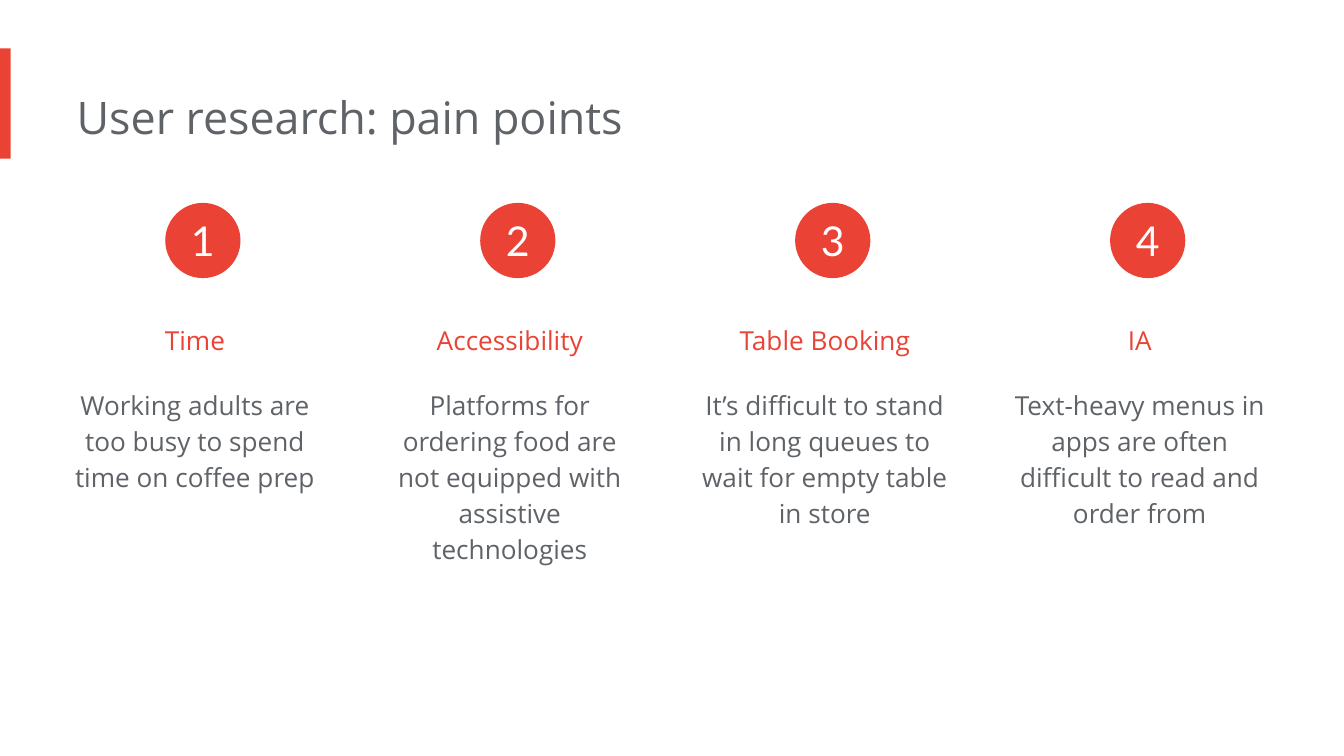
import pptx
import pptx.dml.color
import pptx.enum.shapes
import pptx.enum.text
import pptx.util

Inches = pptx.util.Inches
RGBColor = pptx.dml.color.RGBColor
SHAPE = pptx.enum.shapes.MSO_SHAPE
ALIGN = pptx.enum.text.PP_ALIGN
ANCHOR = pptx.enum.text.MSO_ANCHOR
FIT = pptx.enum.text.MSO_AUTO_SIZE

RED = RGBColor(0xEA, 0x43, 0x35)
GREY = RGBColor(0x5F, 0x63, 0x68)
WHITE = RGBColor(0xFF, 0xFF, 0xFF)

POINTS = [
    ("Time", "Working adults are too busy to spend time on coffee prep", 0.98),
    ("Accessibility", "Platforms for ordering food are not equipped with assistive technologies", 1.52),
    ("Table Booking", "It’s difficult to stand in long queues to wait for empty table in store", 1.25),
    ("IA", "Text-heavy menus in apps are often difficult to read and order from", 1.25),
]
FIRST_LEFT, LAST_LEFT, COL_W = 0.48, 7.51, 2.04
PITCH = (LAST_LEFT - FIRST_LEFT) / (len(POINTS) - 1)
CIRCLE_INDENT, CIRCLE = 0.75, 0.56

PAD = Inches(0.1)
BOX = dict(margin_left=0, margin_top=PAD, margin_right=PAD, margin_bottom=PAD,
           word_wrap=True, vertical_anchor=ANCHOR.TOP, auto_size=FIT.SHAPE_TO_FIT_TEXT)
BADGE = dict(margin_left=0, margin_top=0, margin_right=0, margin_bottom=0,
             word_wrap=True, vertical_anchor=ANCHOR.MIDDLE, auto_size=FIT.NONE)


def write(sp, text, size, color, frame=BOX, font="Open Sans", align=ALIGN.CENTER, spacing=1.0):
    tf = sp.text_frame
    tf.text = text
    p = tf.paragraphs[0]
    formats = [
        (tf, frame),
        (p, dict(alignment=align, line_spacing=spacing)),
        (p.runs[0].font, dict(name=font, size=pptx.util.Pt(size))),
    ]
    for target, values in formats:
        for name, value in values.items():
            setattr(target, name, value)
    p.runs[0].font.color.rgb = color


def add_red_shape(kind, *box):
    sp = s.shapes.add_shape(kind, *map(Inches, box))
    sp.shadow.inherit = False
    sp.fill.solid()
    sp.fill.fore_color.rgb = RED
    sp.line.fill.background()
    return sp


prs = pptx.Presentation()
prs.slide_width = Inches(10)
prs.slide_height = prs.slide_width * 9 // 16
s = prs.slides.add_slide(prs.slide_layouts[5])

add_red_shape(SHAPE.RECTANGLE, 0, 0.36, 0.08, 0.82)

title = s.shapes.title
for name, value in dict(left=0.57, top=0.57, width=6.73, height=0.61).items():
    setattr(title, name, Inches(value))
write(title, "User research: pain points", 24, GREY, align=ALIGN.LEFT)

for i, (heading, body, body_h) in enumerate(POINTS):
    left = FIRST_LEFT + i * PITCH
    sp = s.shapes.add_textbox(*map(Inches, (left, 2.2, COL_W, 0.44)))
    write(sp, heading, 14, RED, spacing=1.5)
    sp = s.shapes.add_textbox(*map(Inches, (left, 2.76, COL_W, body_h)))
    write(sp, body, 14, GREY, spacing=1.15)
    sp = add_red_shape(SHAPE.OVAL, left + CIRCLE_INDENT, 1.51, CIRCLE, CIRCLE)
    write(sp, str(i + 1), 22, WHITE, frame=BADGE, font="Lato")

prs.save("out.pptx")
